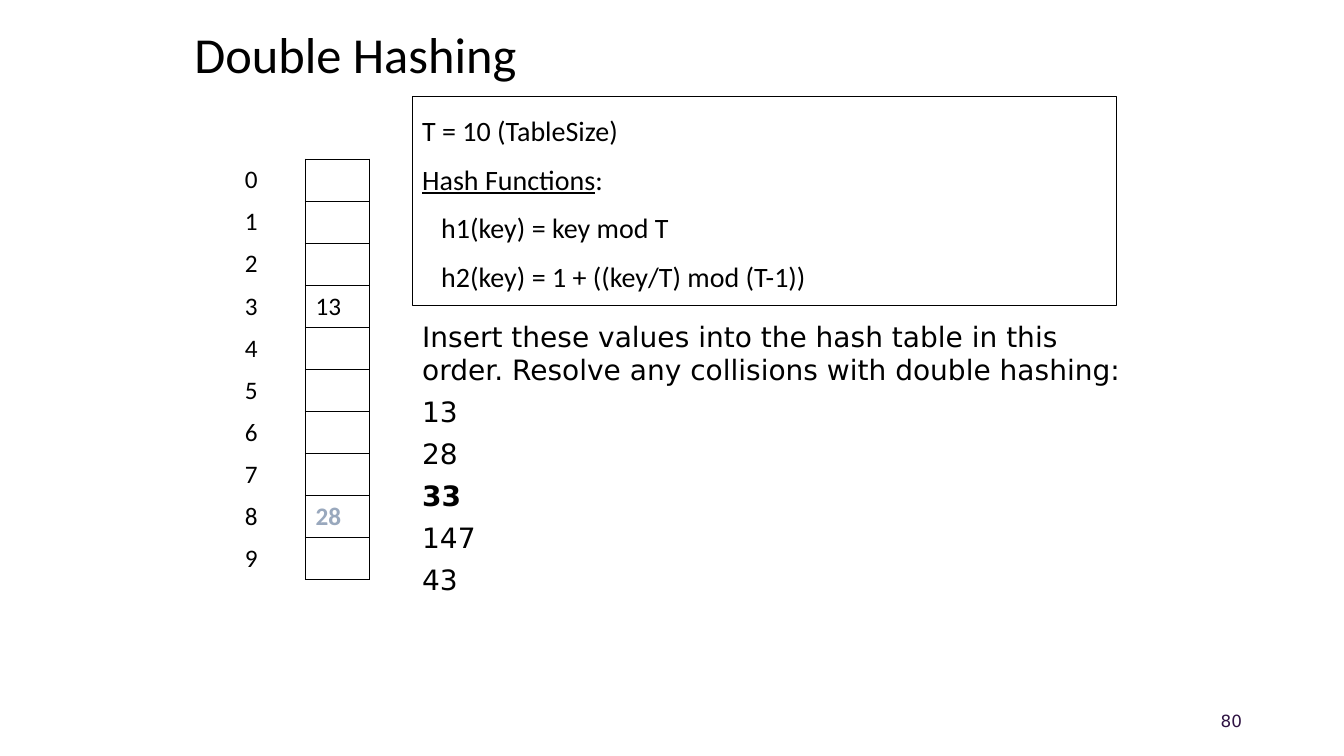
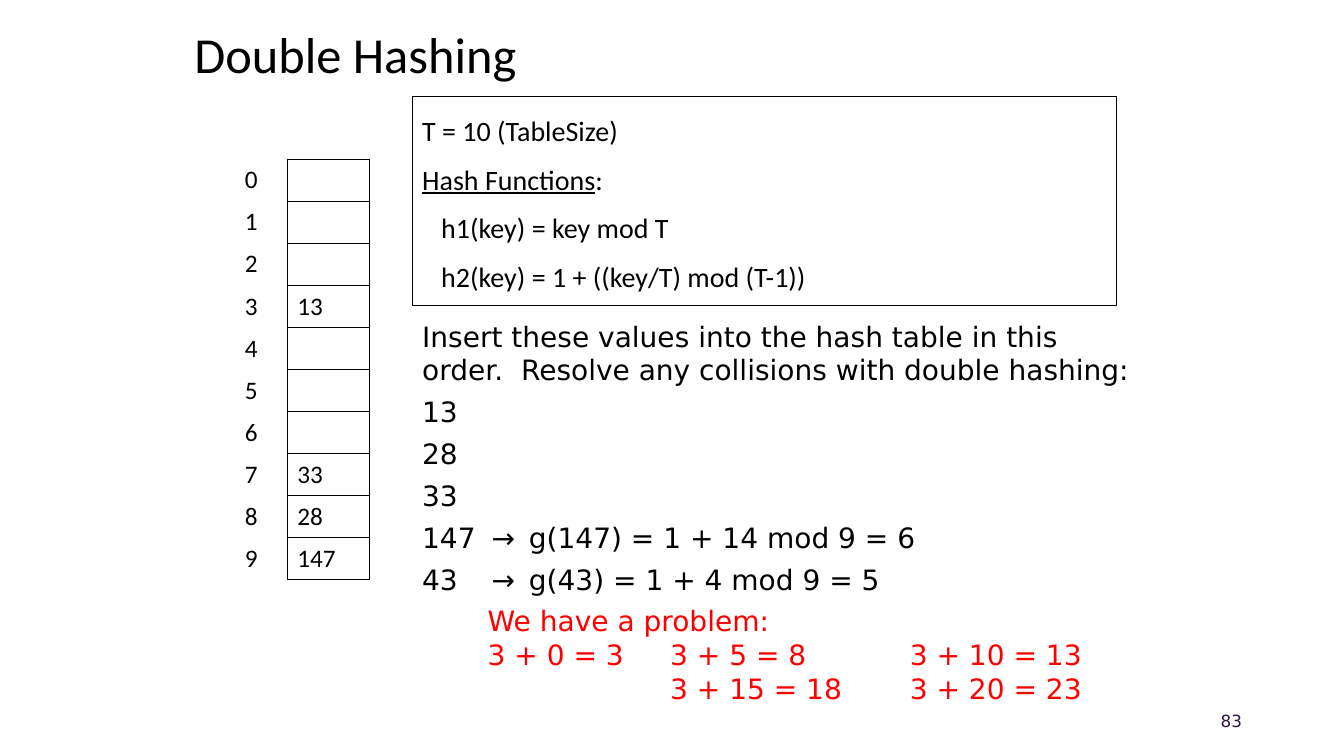
"""Build two slides that step through double hashing."""
from pptx import Presentation
from pptx.dml.color import RGBColor
from pptx.enum.text import MSO_ANCHOR, PP_ALIGN
from pptx.oxml.ns import qn
from pptx.util import Cm, Pt
from lxml.etree import SubElement

BLACK = RGBColor(0x00, 0x00, 0x00)
RED = RGBColor(0xFF, 0x00, 0x00)
GREY_BLUE = RGBColor(0x99, 0xA8, 0xBD)
PURPLE = RGBColor(0x2F, 0x13, 0x43)
HEAD_FONT, BODY_FONT = "Calibri", "DejaVu Sans"

TITLE = "Double Hashing"
FUNCTIONS = ["T = 10 (TableSize)", ("Hash Functions", ":"),
             "h1(key) = key mod T", "h2(key) = 1 + ((key/T) mod (T-1))"]
FUNCTION_INDENTS = [0, 0, 0.48, 0.48]
STEP_TABS = (1.75, 2.69)
PROBLEM_TABS = (4.6, 10.64)
SLOTS = 10
ROW_H = 1.06
TABLE_W = 3.39

SLIDES = [
    {"page": "80", "index_w": 1.78, "table": {3: "13", 8: "28"},
     "new_slot": 8, "current": "33", "problem": [],
     "steps": ["Insert these values into the hash table in this order. "
               "Resolve any collisions with double hashing:",
               "13", "28", "33", "147", "43"]},
    {"page": "83", "index_w": 1.32,
     "table": {3: "13", 7: "33", 8: "28", 9: "147"},
     "new_slot": None, "current": None,
     "steps": ["Insert these values into the hash table in this order.  "
               "Resolve any collisions with double hashing:",
               "13", "28", "33",
               "147\t→\tg(147) = 1 + 14 mod 9 = 6",
               "43\t→\tg(43) = 1 + 4 mod 9 = 5"],
     "problem": ["We have a problem:",
                 "3 + 0 = 3\t3 + 5 = 8\t3 + 10 = 13",
                 "\t3 + 15 = 18\t3 + 20 = 23"]},
]


def set_font(p, name, size, color, bold=False):
    p.font.name, p.font.size, p.font.bold = name, Pt(size), bold
    p.font.color.rgb = color


def set_tabs(p, stops):
    tabs = SubElement(p._p.get_or_add_pPr(), qn("a:tabLst"))
    for stop in stops:
        SubElement(tabs, qn("a:tab"), pos=str(Cm(stop)), algn="l")


def add_text(s, box, lines, name, size, color=BLACK, gap=0, tabs=(),
             anchor=MSO_ANCHOR.TOP):
    sp = s.shapes.add_textbox(*map(Cm, box))
    tf = sp.text_frame
    tf.word_wrap, tf.vertical_anchor = True, anchor
    for i, line in enumerate(lines):
        p = tf.paragraphs[0] if i == 0 else tf.add_paragraph()
        for part in [line] if isinstance(line, str) else line:
            p.add_run().text = part
        if "\t" in line:
            set_tabs(p, tabs)
        p.space_before = Pt(gap if i else 0)
        set_font(p, name, size, color)
    return sp


def add_borders(cell, sides):
    tcPr = cell._tc.get_or_add_tcPr()
    for side in sides:
        ln = SubElement(tcPr, qn(f"a:ln{side}"), w=str(Pt(1)))
        fill = SubElement(ln, qn("a:solidFill"))
        SubElement(fill, qn("a:srgbClr"), val=str(BLACK))


def add_functions(s):
    sp = add_text(s, (10.39, 2.44, 17.75, 5.26), FUNCTIONS, HEAD_FONT, 20, gap=6)
    sp.line.color.rgb, sp.line.width = BLACK, Pt(0.75)
    tf = sp.text_frame
    tf.margin_top = tf.margin_bottom = Cm(0.25)
    for p, indent in zip(tf.paragraphs, FUNCTION_INDENTS):
        p.line_spacing = 1.2
        p._p.get_or_add_pPr().set("marL", str(Cm(indent)))
    tf.paragraphs[1].runs[0].font.underline = True


def add_hash_table(s, data):
    table = s.shapes.add_table(SLOTS, 2, Cm(5.92), Cm(4.01),
                               Cm(TABLE_W), Cm(ROW_H * SLOTS)).table
    table.first_row = table.horz_banding = False
    table.columns[0].width = Cm(data["index_w"])
    table.columns[1].width = Cm(TABLE_W - data["index_w"])
    for slot in range(SLOTS):
        table.rows[slot].height = Cm(ROW_H)
        new = slot == data["new_slot"]
        columns = [(str(slot), "R", BLACK, False),
                   (data["table"].get(slot, ""), "LRTB",
                    GREY_BLUE if new else BLACK, new)]
        for col, (text, sides, color, bold) in enumerate(columns):
            cell = table.cell(slot, col)
            cell.text, cell.vertical_anchor = text, MSO_ANCHOR.MIDDLE
            set_font(cell.text_frame.paragraphs[0], HEAD_FONT, 18, color, bold)
            add_borders(cell, sides)
            cell.fill.background()


def add_slide(prs, data):
    s = prs.slides.add_slide(prs.slide_layouts[6])
    title = add_text(s, (4.65, 0.48, 24.56, 1.9), [TITLE], HEAD_FONT, 36,
                     anchor=MSO_ANCHOR.MIDDLE)
    title.text_frame.paragraphs[0].line_spacing = 0.9
    steps = add_text(s, (10.39, 7.92, 18.49, 7.32), data["steps"], BODY_FONT,
                     20, gap=6, tabs=STEP_TABS)
    for p in steps.text_frame.paragraphs:
        p.font.bold = p.text == data["current"]
    add_functions(s)
    add_hash_table(s, data)
    if data["problem"]:
        add_text(s, (12.04, 15.09, 17.12, 2.82), data["problem"], BODY_FONT,
                 20, RED, tabs=PROBLEM_TABS)
    page = add_text(s, (23.93, 17.65, 7.62, 1.02), [data["page"]], BODY_FONT,
                    12, PURPLE, anchor=MSO_ANCHOR.MIDDLE)
    page.text_frame.paragraphs[0].alignment = PP_ALIGN.RIGHT


def main():
    prs = Presentation()
    prs.slide_width, prs.slide_height = Cm(33.87), Cm(19.05)
    for data in SLIDES:
        add_slide(prs, data)
    prs.save("out.pptx")


if __name__ == "__main__":
    main()
